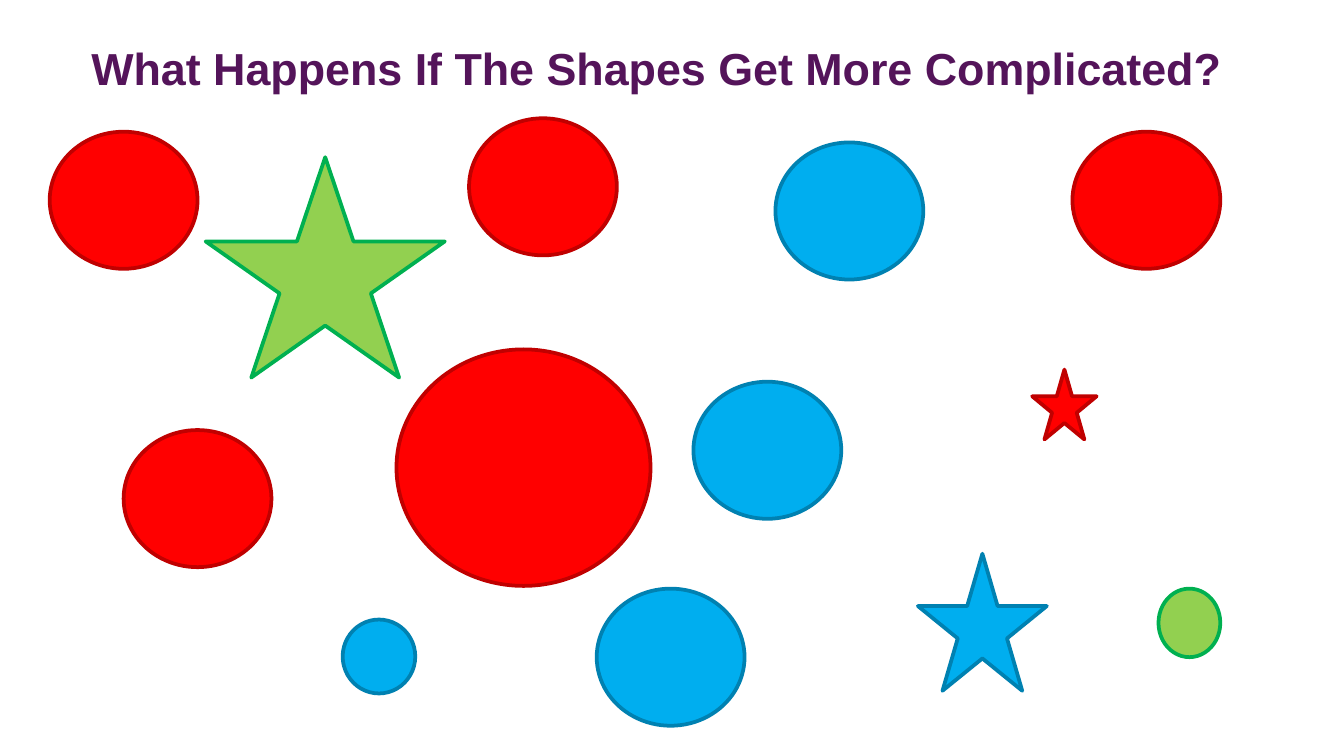
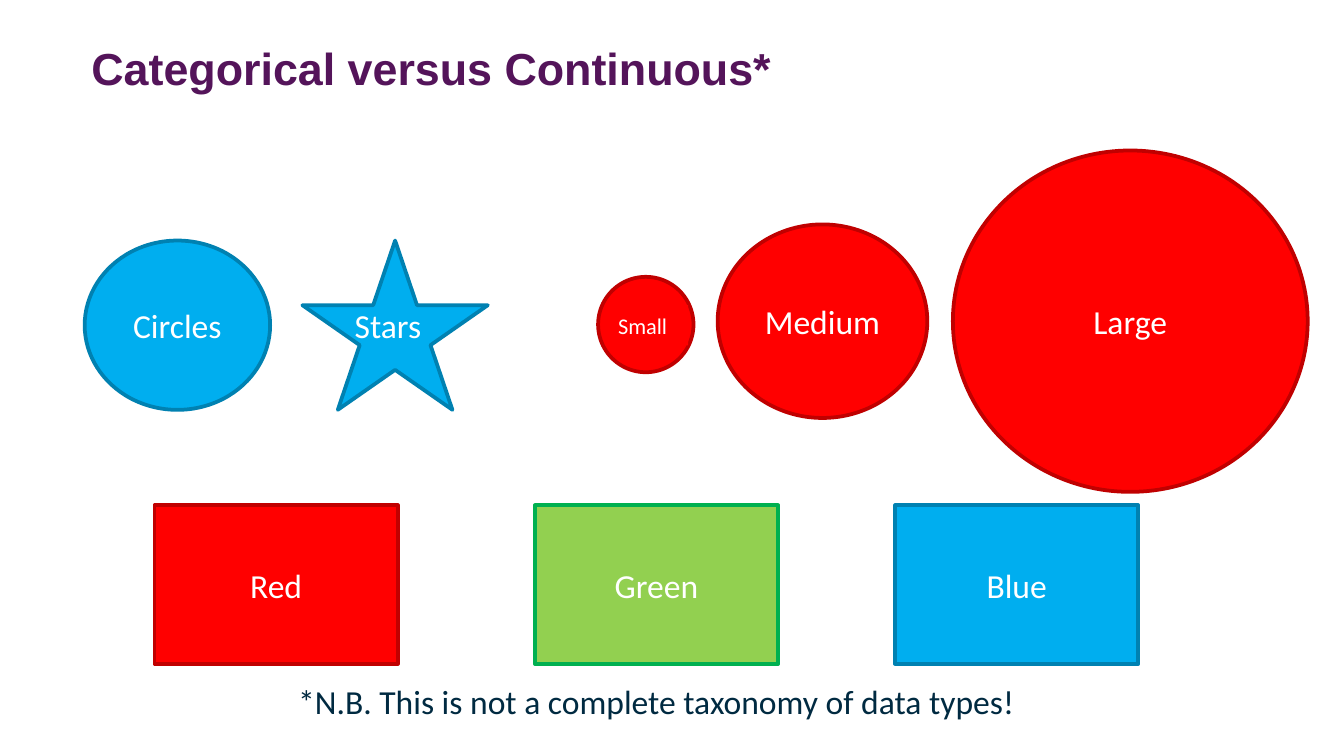
import pptx
import pptx.dml.color
import pptx.enum.shapes
import pptx.enum.text
import pptx.util

Inches = pptx.util.Inches
KIND = pptx.enum.shapes.MSO_SHAPE
ALIGN = pptx.enum.text.PP_ALIGN
ANCHOR = pptx.enum.text.MSO_ANCHOR

COLOURS = {
    "red": "FF0000", "red edge": "C00000",
    "green": "92D050", "green edge": "00B050",
    "blue": "00AEEF", "blue edge": "0081B1",
    "title": "54145A", "note": "002A41", "white": "FFFFFF",
}

# Text formats shared by both slides
TITLE = {"name": "Arial", "size": pptx.util.Pt(24), "bold": True}
LABEL = {"name": "Calibri", "size": pptx.util.Pt(18)}
SMALL_LABEL = {**LABEL, "size": pptx.util.Pt(12)}

TITLE_BOX = (0.68, 0.3, 8.64, 0.94)
SHAPE_AREA = (0.37, 0.88, 8.71, 4.52)
FORM_ROW = (0.63, 1.79, 3, 1.26)
SIZE_ROW = (4.45, 1.12, 5.28, 2.54)
COLOUR_ROW = (1.15, 3.76, 7.32, 1.18)
NOTE_BOX = (2.12, 5.02, 5.59, 0.4)

CIRCLE_SIZE = (1.1, 1.02)


def rgb(name):
    return pptx.dml.color.RGBColor.from_string(COLOURS[name])


def write(frame, text, style, colour, align=ALIGN.LEFT):
    para = frame.paragraphs[0]
    para.alignment = align
    span = para.add_run()
    span.text = text
    for attribute, value in style.items():
        setattr(span.font, attribute, value)
    span.font.color.rgb = rgb(colour)


def add_label(page, box, text, style, colour, fill=None):
    label = page.shapes.add_textbox(*map(Inches, box))
    if fill:
        label.fill.solid()
        label.fill.fore_color.rgb = rgb(fill)
    label.text_frame.word_wrap = True
    write(label.text_frame, text, style, colour)
    return label


def add_figure(page, kind, colour, box, text=None):
    figure = page.shapes.add_shape(kind, *map(Inches, box))
    figure.shadow.inherit = False
    figure.fill.solid()
    figure.fill.fore_color.rgb = rgb(colour)
    figure.line.color.rgb = rgb(colour + " edge")
    figure.line.width = pptx.util.Pt(2)
    if text:
        figure.text_frame.vertical_anchor = ANCHOR.MIDDLE
        write(figure.text_frame, text, LABEL, "white", ALIGN.CENTER)


def add_title(page, box, text):
    frame = add_label(page, box, text, TITLE, "title").text_frame
    for side in ("left", "top", "right", "bottom"):
        setattr(frame, "margin_" + side, 0)


def add_scattered_shapes(page, box):
    left, top = box[:2]
    # Circles of the common size
    circles = [
        ("blue", 5.4, 0.18), ("blue", 4.79, 1.96), ("blue", 4.07, 3.5),
        ("red", 0, 0.1), ("red", 0.55, 2.32), ("red", 3.12, 0),
        ("red", 7.61, 0.1),
    ]
    for colour, x, y in circles:
        add_figure(page, KIND.OVAL, colour, (left + x, top + y, *CIRCLE_SIZE))
    # Circles and stars of other sizes
    others = [
        (KIND.OVAL, "blue", 2.18, 3.73, 0.54, 0.55),
        (KIND.OVAL, "red", 2.58, 1.72, 1.89, 1.76),
        (KIND.OVAL, "green", 8.25, 3.5, 0.46, 0.51),
        (KIND.STAR_5_POINT, "green", 1.16, 0.29, 1.78, 1.64),
        (KIND.STAR_5_POINT, "blue", 6.46, 3.24, 0.96, 1.02),
        (KIND.STAR_5_POINT, "red", 7.31, 1.87, 0.48, 0.52),
    ]
    for kind, colour, x, y, width, height in others:
        add_figure(page, kind, colour, (left + x, top + y, width, height))


def add_forms(page, box):
    left, top, width, height = box
    side = 1.38
    star_left = left + width - side
    add_figure(page, KIND.OVAL, "blue", (left, top, side, height), "Circles")
    add_figure(page, KIND.STAR_5_POINT, "blue", (star_left, top, side, height))
    add_label(page, (star_left + 0.29, top + 0.43, 0.79, 0.4),
              "Stars", LABEL, "white")


def add_sizes(page, box):
    left, top = box[:2]
    circles = [
        (0.89, 0.55, 1.56, 1.44, "Medium"),
        (0, 0.94, 0.71, 0.71, None),
        (2.64, 0, 2.64, 2.54, "Large"),
    ]
    for x, y, width, height, text in circles:
        add_figure(page, KIND.OVAL, "red",
                   (left + x, top + y, width, height), text)
    add_label(page, (left + 0.05, top + 1.15, 0.62, 0.3),
              "Small", SMALL_LABEL, "white", fill="red")


def add_colours(page, box):
    left, top, _, height = box
    for colour, x in (("red", 0), ("green", 2.83), ("blue", 5.51)):
        add_figure(page, KIND.RECTANGLE, colour,
                   (left + x, top, 1.81, height), colour.capitalize())


def add_page(deck, title):
    page = deck.slides.add_slide(deck.slide_layouts[6])
    page.background.fill.solid()
    page.background.fill.fore_color.rgb = rgb("white")
    add_title(page, TITLE_BOX, title)
    return page


def main():
    deck = pptx.Presentation()
    # Widescreen, 16 to 9
    deck.slide_width = Inches(10)
    deck.slide_height = Inches(10 * 9 / 16)

    # Mixed shapes
    page = add_page(deck, "What Happens If The Shapes Get More Complicated?")
    add_scattered_shapes(page, SHAPE_AREA)

    # Kinds of data
    page = add_page(deck, "Categorical versus Continuous*")
    add_forms(page, FORM_ROW)
    add_sizes(page, SIZE_ROW)
    add_colours(page, COLOUR_ROW)
    add_label(page, NOTE_BOX,
              "*N.B. This is not a complete taxonomy of data types!",
              LABEL, "note")

    deck.save("out.pptx")


if __name__ == "__main__":
    main()
